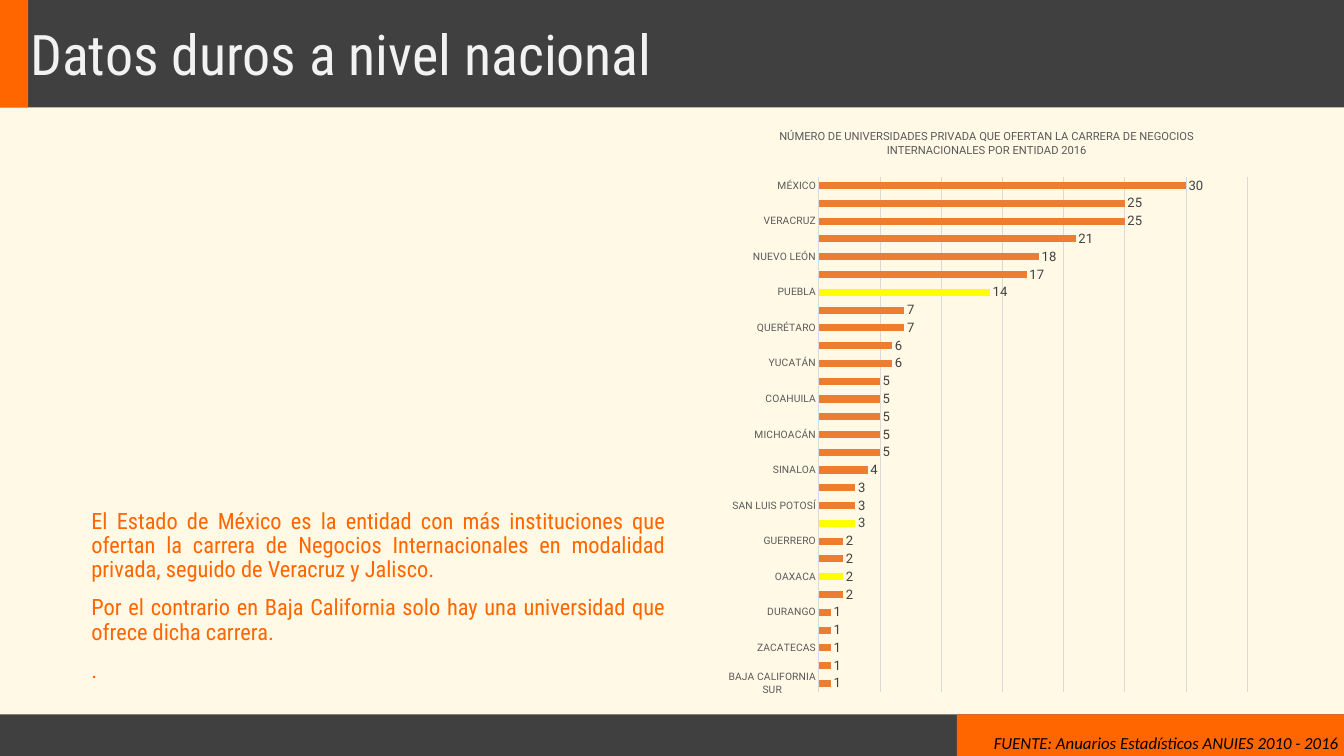
from lxml import etree
from pptx import Presentation
from pptx.chart.data import CategoryChartData
from pptx.dml.color import RGBColor
from pptx.enum.chart import XL_CHART_TYPE, XL_LABEL_POSITION, XL_TICK_MARK
from pptx.enum.shapes import MSO_SHAPE
from pptx.enum.text import MSO_ANCHOR, MSO_AUTO_SIZE, PP_ALIGN
from pptx.oxml.ns import qn
from pptx.util import Inches, Pt

CREAM, DARK, ORANGE, LIGHT = "FFF9E6", "404040", "FF6600", "F2F2F2"
BAR, HIGHLIGHT, GRID, GREY = "ED7D31", "FFFF00", "D9D9D9", "595959"

TITLE = "Datos duros a nivel nacional"
BODY = [
    "El Estado de México es la entidad con más instituciones que ofertan la carrera "
    "de Negocios Internacionales en modalidad privada, seguido de Veracruz y Jalisco.",
    "Por el contrario en Baja California solo hay una universidad que ofrece dicha carrera.",
    ".",
]
SOURCE = "FUENTE: Anuarios Estadísticos ANUIES 2010 - 2016"
CHART_TITLE = ("NÚMERO DE UNIVERSIDADES PRIVADA QUE OFERTAN LA CARRERA DE "
               "NEGOCIOS INTERNACIONALES POR ENTIDAD 2016")
UNIVERSITIES = {
    "MÉXICO": 30, "CIUDAD DE MÉXICO": 25, "VERACRUZ": 25, "JALISCO": 21,
    "NUEVO LEÓN": 18, "GUANAJUATO": 17, "PUEBLA": 14, "TAMAULIPAS": 7,
    "QUERÉTARO": 7, "MORELOS": 6, "YUCATÁN": 6, "BAJA CALIFORNIA": 5,
    "COAHUILA": 5, "AGUASCALIENTES": 5, "MICHOACÁN": 5, "SONORA": 5,
    "SINALOA": 4, "CHIHUAHUA": 3, "SAN LUIS POTOSÍ": 3, "CHIAPAS": 3,
    "GUERRERO": 2, "HIDALGO": 2, "OAXACA": 2, "TABASCO": 2, "DURANGO": 1,
    "QUINTANA ROO": 1, "ZACATECAS": 1, "TLAXCALA": 1, "BAJA CALIFORNIA SUR": 1,
}
HIGHLIGHTED = ["PUEBLA", "CHIAPAS", "OAXACA"]
BANDS = [  # left, top, width, height, colour
    (0, 10.63, 20, 0.62, DARK),
    (14.24, 10.63, 5.76, 0.62, ORANGE),
    (0, 0, 20, 1.6, DARK),
    (0, 0, 0.42, 1.6, ORANGE),
]
PLOT_AREA = {"x": 0.19, "y": 0.11, "w": 0.79, "h": 0.87}  # shares of the chart


def rgb(value):
    return RGBColor.from_string(value)


def paint(fill, color):
    fill.solid()
    fill.fore_color.rgb = rgb(color)


def style(font, name, size, color, italic=False):
    font.name, font.size, font.italic, font.bold = name, Pt(size), italic, False
    font.color.rgb = rgb(color)


def place(sp, left, top, width, height):
    sp.left, sp.top, sp.width, sp.height = map(Inches, (left, top, width, height))


def fix_plot_area(chart):
    """Give the inner plot area a fixed place within the chart."""
    plot_area = chart.plots[0]._element.getparent()
    for old in plot_area.findall(qn("c:layout")):
        plot_area.remove(old)
    layout = etree.Element(qn("c:layout"))
    manual = etree.SubElement(layout, qn("c:manualLayout"))
    settings = {"layoutTarget": "inner", "xMode": "edge", "yMode": "edge", **PLOT_AREA}
    for tag, value in settings.items():
        etree.SubElement(manual, qn(f"c:{tag}")).set("val", str(value))
    plot_area.insert(0, layout)


def add_bands(slide):
    for *box, color in BANDS:
        sp = slide.shapes.add_shape(MSO_SHAPE.RECTANGLE, *map(Inches, box))
        sp.shadow.inherit = False
        paint(sp.fill, color)
        sp.line.fill.background()


def add_texts(slide):
    title, body = slide.placeholders
    for sp in (title, body):  # bring in front of the bands
        slide.shapes._spTree.append(sp._element)

    place(title, 0.35, 0.44, 19.3, 0.84)
    tf = title.text_frame
    tf.text = TITLE
    tf.vertical_anchor, tf.auto_size = MSO_ANCHOR.MIDDLE, MSO_AUTO_SIZE.NONE
    p = tf.paragraphs[0]
    p.alignment, p.line_spacing = PP_ALIGN.LEFT, 0.9
    style(p.runs[0].font, "Roboto Condensed", 60, LIGHT)

    place(body, 1.26, 7.54, 8.74, 3.51)
    tf = body.text_frame
    tf.text = "\n".join(BODY)
    tf.vertical_anchor, tf.auto_size = MSO_ANCHOR.TOP, MSO_AUTO_SIZE.NONE
    for i, p in enumerate(tf.paragraphs):
        pPr = p._p.get_or_add_pPr()
        pPr.set("marL", "0")
        pPr.set("indent", "0")
        etree.SubElement(pPr, qn("a:buNone"))
        p.alignment, p.line_spacing = PP_ALIGN.JUSTIFY, 0.9
        p.space_before = Pt(15 if i else 0)
        style(p.runs[0].font, "Roboto Condensed", 24, ORANGE)

    source = slide.shapes.add_textbox(*map(Inches, (14.69, 10.85, 5.86, 0.4)))
    tf = source.text_frame
    tf.word_wrap = True
    tf.text = SOURCE
    style(tf.paragraphs[0].runs[0].font, "Calibri", 18, "000000", italic=True)


def add_bar_chart(slide):
    data = CategoryChartData()
    data.categories = list(UNIVERSITIES)
    data.add_series("Universidades", list(UNIVERSITIES.values()))
    box = map(Inches, (10.65, 1.66, 8.07, 8.82))
    chart = slide.shapes.add_chart(XL_CHART_TYPE.BAR_CLUSTERED, *box, data).chart
    style(chart.font, "Roboto", 11, "000000")
    chart.has_legend = False
    chart.has_title = True
    tf = chart.chart_title.text_frame
    tf.text = CHART_TITLE
    style(tf.paragraphs[0].runs[0].font, "Roboto", 12, GREY)
    fix_plot_area(chart)

    states = chart.category_axis
    states.reverse_order = True
    states.major_tick_mark = states.minor_tick_mark = XL_TICK_MARK.NONE
    style(states.tick_labels.font, "Roboto", 11, GREY)
    counts = chart.value_axis
    counts.minimum_scale, counts.maximum_scale, counts.major_unit = 0, 35, 5
    counts.has_major_gridlines = True
    counts.visible = False
    for line in (states.format.line, counts.major_gridlines.format.line):
        line.color.rgb = rgb(GRID)
        line.width = Pt(0.75)

    plot = chart.plots[0]
    plot.vary_by_categories = False
    plot.gap_width = 150
    series = plot.series[0]
    series.invert_if_negative = False
    paint(series.format.fill, BAR)
    for state in HIGHLIGHTED:
        point = series.points[list(UNIVERSITIES).index(state)]
        paint(point.format.fill, HIGHLIGHT)
    labels = series.data_labels
    labels.show_value = True
    labels.position = XL_LABEL_POSITION.OUTSIDE_END
    style(labels.font, "Roboto", 14, DARK)


def main():
    prs = Presentation()
    prs.slide_width, prs.slide_height = Inches(20), Inches(11.25)
    slide = prs.slides.add_slide(prs.slide_layouts[1])
    paint(slide.background.fill, CREAM)
    add_bands(slide)
    add_texts(slide)
    add_bar_chart(slide)
    prs.save("out.pptx")


if __name__ == "__main__":
    main()
